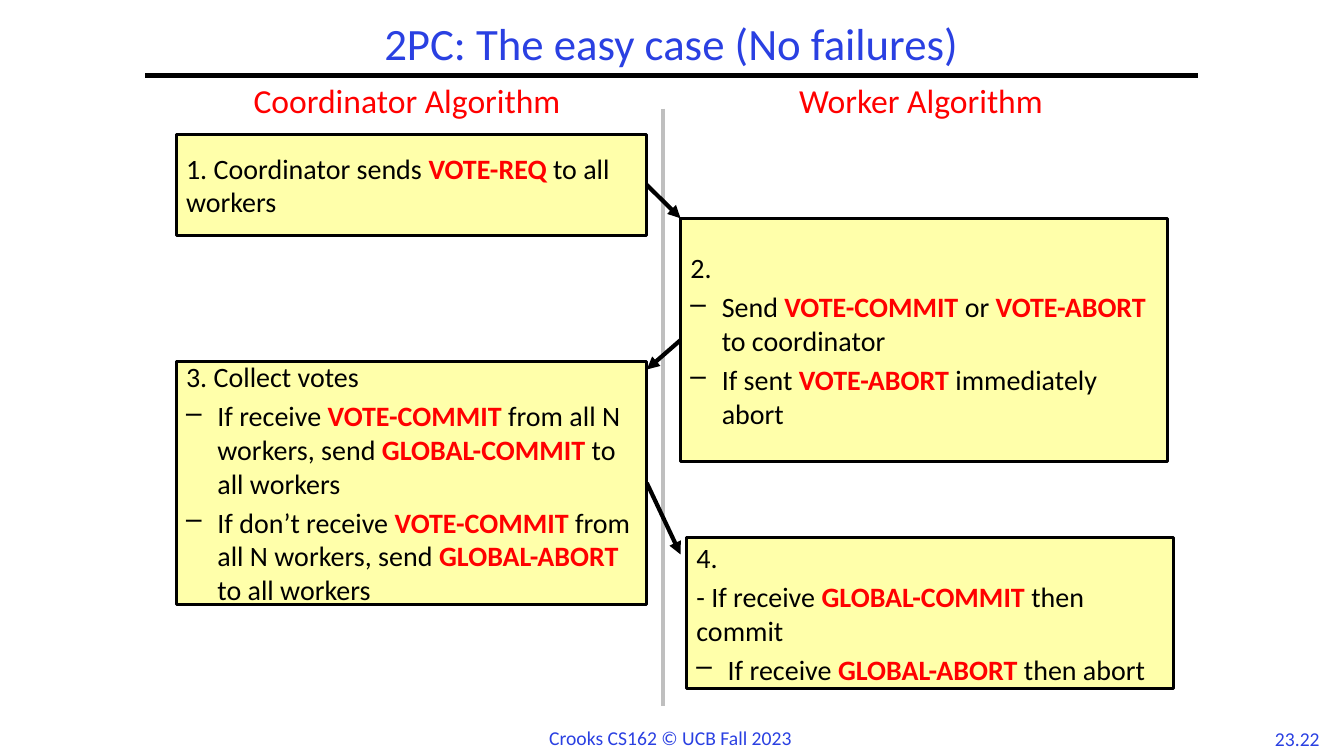
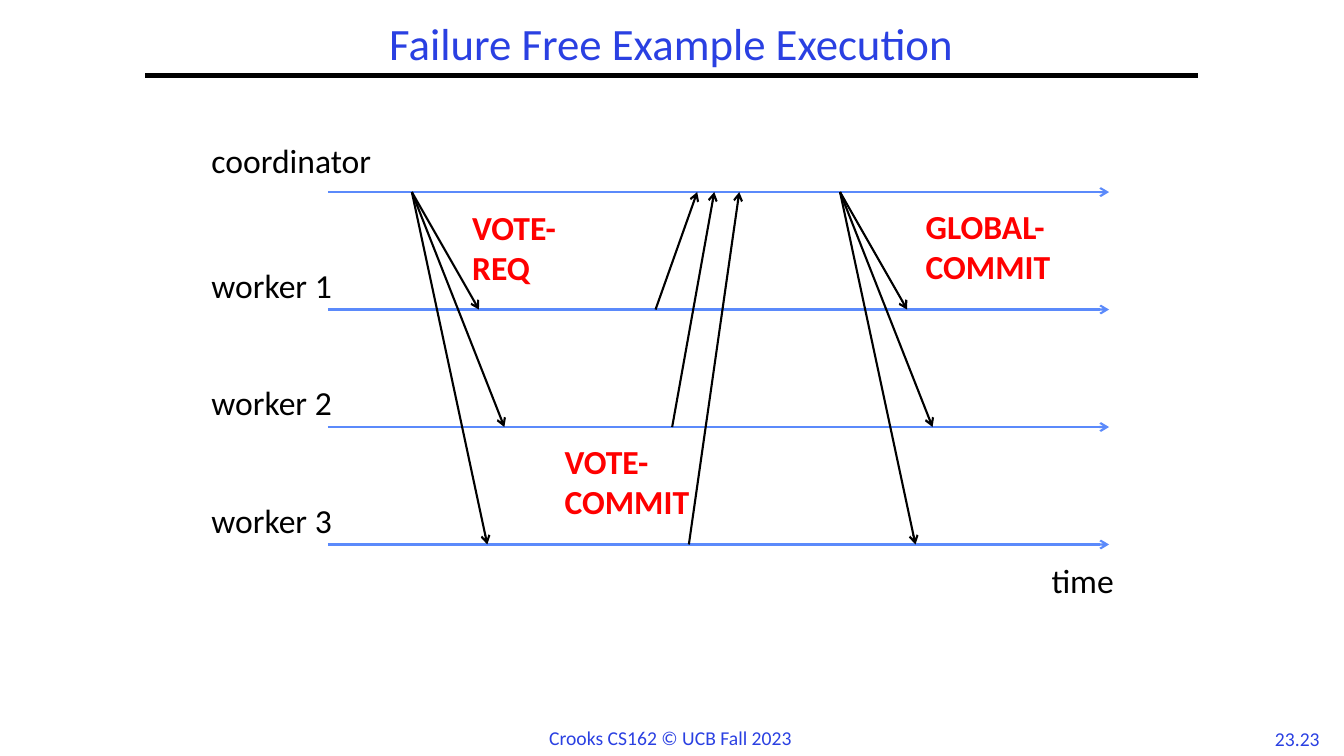
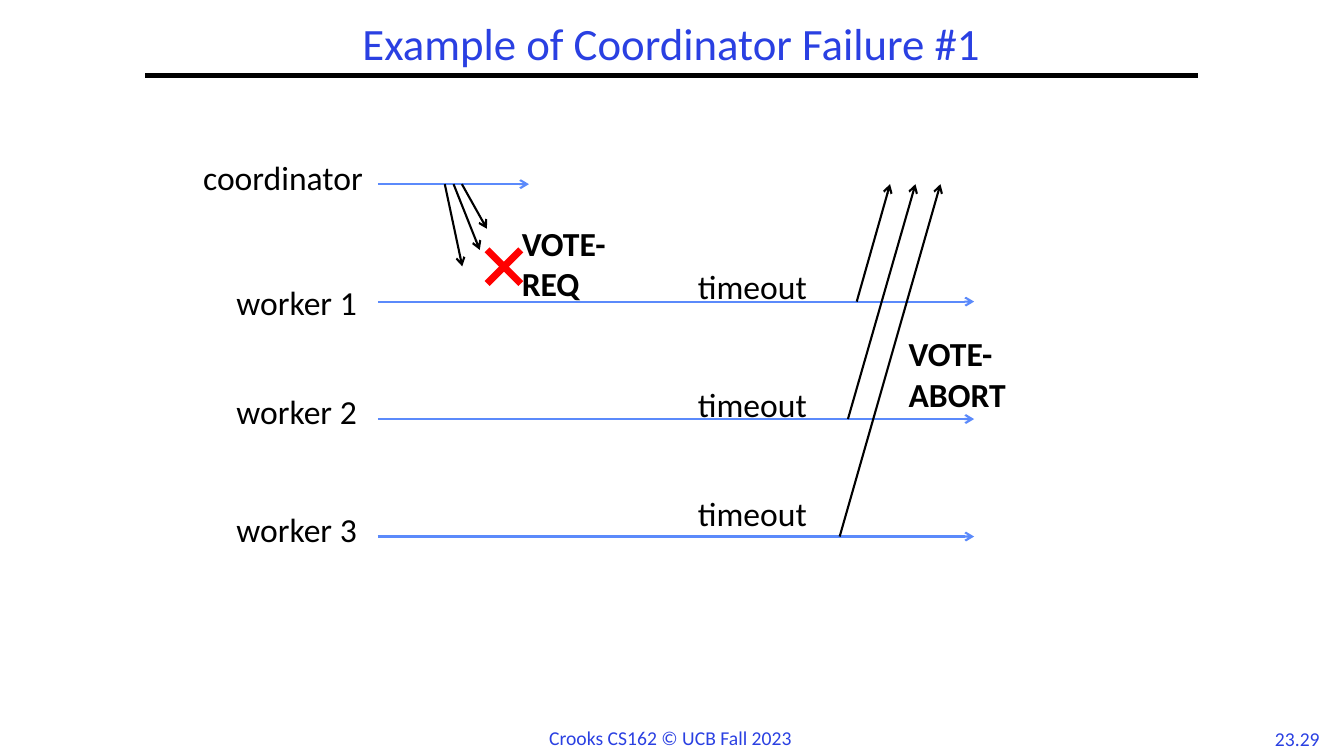
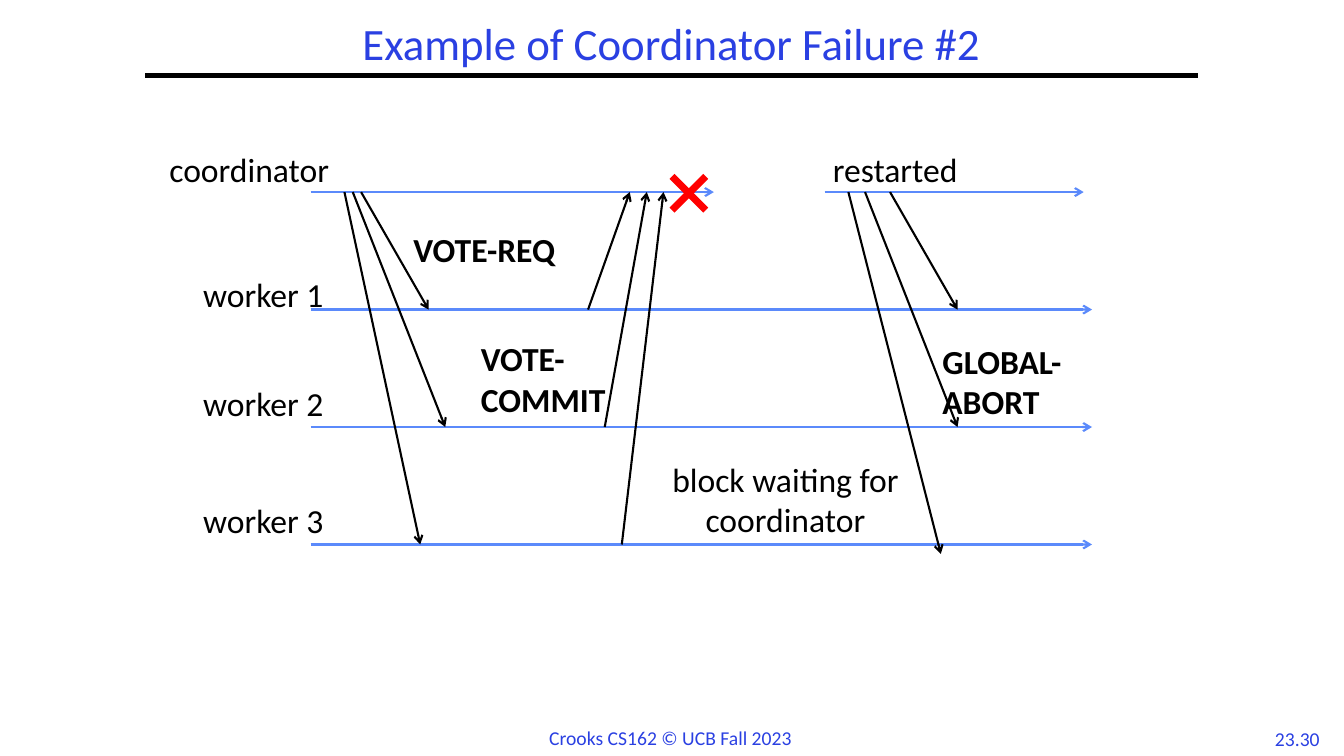
from dataclasses import dataclass

from lxml import etree
from pptx import Presentation
from pptx.dml.color import RGBColor
from pptx.enum.shapes import MSO_CONNECTOR, MSO_SHAPE
from pptx.enum.text import MSO_ANCHOR, MSO_AUTO_SIZE, PP_ALIGN
from pptx.oxml.ns import qn
from pptx.util import Cm, Pt

STRAIGHT = MSO_CONNECTOR.STRAIGHT
RECTANGLE = MSO_SHAPE.RECTANGLE
TOP, MIDDLE = MSO_ANCHOR.TOP, MSO_ANCHOR.MIDDLE
NO_AUTOFIT = MSO_AUTO_SIZE.NONE
LEFT, CENTER = PP_ALIGN.LEFT, PP_ALIGN.CENTER
TITLE_ONLY = 5
LEFT_SIDE, RIGHT_SIDE = 1, 3
BULLET = "– "


@dataclass(frozen=True)
class Theme:
    font: str = "Calibri"
    blue: RGBColor = RGBColor(0x2A, 0x40, 0xE2)
    lane: RGBColor = RGBColor(0x5B, 0x8A, 0xFB)
    red: RGBColor = RGBColor(0xFF, 0x00, 0x00)
    black: RGBColor = RGBColor(0x00, 0x00, 0x00)
    gray: RGBColor = RGBColor(0xBF, 0xBF, 0xBF)
    yellow: RGBColor = RGBColor(0xFF, 0xFF, 0xAA)
    title_size: int = 32
    label_size: int = 24
    step_size: int = 20
    footer_size: int = 14
    thin: float = 1.5
    outline: float = 2
    thick: float = 3
    cross: float = 5


THEME = Theme()


@dataclass(frozen=True)
class Box:
    """A rectangle in centimetres."""
    left: float
    top: float
    width: float
    height: float

    def inner(self, left, top, width, height):
        return Box(self.left + left, self.top + top, width, height)

    def lengths(self):
        return Cm(self.left), Cm(self.top), Cm(self.width), Cm(self.height)


TITLE_BOX = Box(3.66, 0.43, 26.52, 1.47)
FOOTER_BOX = Box(13.59, 18.16, 6.68, 0.86)
NUMBER_BOX = Box(31.83, 18.19, 1.73, 0.84)
ALGORITHM_BOX = Box(4.44, 1.9, 25.12, 15.88)
LANE_GAP = 2.96
LINE_HEIGHT = 1.3
TWO_LINES = 2.31


def add_bullet(paragraph):
    properties = paragraph._p.get_or_add_pPr()
    properties.set("marL", str(Cm(0.79)))
    properties.set("indent", str(-Cm(0.79)))
    etree.SubElement(properties, qn("a:buChar")).set("char", BULLET.strip())


def write(frame, text, size=THEME.label_size, color=THEME.black, bold=False,
          align=LEFT, anchor=TOP, space_before=0, line_spacing=None):
    """Write one paragraph per line; words between asterisks are bold red."""
    frame.word_wrap = True
    frame.auto_size = NO_AUTOFIT
    frame.vertical_anchor = anchor
    for index, line in enumerate(text.split("\n")):
        paragraph = frame.add_paragraph() if index else frame.paragraphs[0]
        paragraph.alignment = align
        if index:
            paragraph.space_before = Pt(space_before)
        if line_spacing:
            paragraph.line_spacing = line_spacing
        if line.startswith(BULLET):
            add_bullet(paragraph)
            line = line.removeprefix(BULLET)
        for part, words in enumerate(line.split("*")):
            if words:
                strong = part % 2 == 1
                run = paragraph.add_run()
                run.text = words
                run.font.name = THEME.font
                run.font.size = Pt(size)
                run.font.bold = bold or strong
                run.font.color.rgb = THEME.red if strong else color


def add_text(slide, box, text, **text_format):
    write(slide.shapes.add_textbox(*box.lengths()).text_frame, text, **text_format)


def add_line(slide, start, end, color=THEME.black, width=THEME.thin, arrow=None):
    ends = [Cm(value) for value in (*start, *end)]
    connector = slide.shapes.add_connector(STRAIGHT, *ends)
    connector.line.color.rgb = color
    connector.line.width = Pt(width)
    properties = connector.element.spPr
    if arrow:
        line = properties.find(qn("a:ln"))
        etree.SubElement(line, qn("a:tailEnd")).set("type", arrow)
    etree.SubElement(properties, qn("a:effectLst"))
    return connector


def add_base_slide(presentation, title, number):
    slide = presentation.slides.add_slide(presentation.slide_layouts[TITLE_ONLY])
    shape = slide.shapes.title
    shape.left, shape.top, shape.width, shape.height = TITLE_BOX.lengths()
    write(shape.text_frame, title, size=THEME.title_size, color=THEME.blue,
          align=CENTER, anchor=MIDDLE, line_spacing=0.9)
    rule_y = TITLE_BOX.top + TITLE_BOX.height
    add_line(slide, (TITLE_BOX.left, rule_y),
             (TITLE_BOX.left + TITLE_BOX.width, rule_y), width=THEME.thick)
    add_text(slide, FOOTER_BOX, "Crooks CS162 © UCB Fall 2023",
             size=THEME.footer_size, color=THEME.blue)
    add_text(slide, NUMBER_BOX, number, size=THEME.footer_size,
             color=THEME.blue, align=CENTER)
    return slide


def add_step(slide, box, text):
    shape = slide.shapes.add_shape(RECTANGLE, *box.lengths())
    shape.shadow.inherit = False
    shape.fill.solid()
    shape.fill.fore_color.rgb = THEME.yellow
    shape.line.color.rgb = THEME.black
    shape.line.width = Pt(THEME.outline)
    write(shape.text_frame, text, size=THEME.step_size, anchor=MIDDLE, space_before=4)
    return shape


def add_algorithms(slide, box):
    """Place the coordinator's and the worker's steps on each side of a divider."""
    left_width, right_width, right_column = 11.86, 12.28, 12.71
    divider_x = box.left + 12.27
    add_line(slide, (divider_x, box.top + 0.84), (divider_x, box.top + box.height),
             color=THEME.gray, width=THEME.thick)
    for text, left, width in (("Coordinator Algorithm", 1.7, 8.79),
                              ("Worker Algorithm", 15.45, 7.06)):
        add_text(slide, box.inner(left, 0, width, 1.27), text, color=THEME.red)

    request = add_step(
        slide, box.inner(0, 1.49, left_width, 2.54),
        "1. Coordinator sends *VOTE-REQ* to all workers")
    vote = add_step(
        slide, box.inner(right_column, 3.6, right_width, 6.14),
        "2.\n– Send *VOTE-COMMIT* or *VOTE-ABORT* to coordinator\n"
        "– If sent *VOTE-ABORT* immediately abort")
    collect = add_step(
        slide, box.inner(0, 7.2, left_width, 6.14),
        "3. Collect votes\n"
        "– If receive *VOTE-COMMIT* from all N workers, send "
        "*GLOBAL-COMMIT* to all workers\n"
        "– If don’t receive *VOTE-COMMIT* from all N workers, send "
        "*GLOBAL-ABORT* to all workers")
    add_step(
        slide, box.inner(right_column + 0.15, 11.65, right_width, 3.81),
        "4.\n- If receive *GLOBAL-COMMIT* then commit\n"
        "– If receive *GLOBAL-ABORT* then abort")

    for step, side, end_x, end_y in ((request, RIGHT_SIDE, right_column, 3.6),
                                     (vote, LEFT_SIDE, left_width, 7.41),
                                     (collect, RIGHT_SIDE, right_column, 12.07)):
        end = (box.left + end_x, box.top + end_y)
        arrow = add_line(slide, end, end, width=THEME.thick, arrow="triangle")
        arrow.begin_connect(step, side)


def add_cross(slide, box):
    right, bottom = box.left + box.width, box.top + box.height
    for start_y, end_y in ((box.top, bottom), (bottom, box.top)):
        add_line(slide, (box.left, start_y), (right, end_y),
                 color=THEME.red, width=THEME.cross)


def add_timeline(slide, box, labels, lanes, messages, notes,
                 note_color=THEME.black, cross=None):
    """Draw lanes and the messages between them, all relative to the box.

    labels: (left, top above or below its lane), one per lane.
    lanes: (lane, start, end). messages: (start, lane, end, lane).
    notes: (text, left, top, width, height, format).
    cross: its centre.
    """
    def point(x, lane):
        return box.left + x, box.top + lane * LANE_GAP

    for lane, start, end in lanes:
        add_line(slide, point(start, lane), point(end, lane),
                 color=THEME.lane, arrow="arrow")
    for lane, (left, top) in enumerate(labels):
        add_text(slide, box.inner(left, lane * LANE_GAP + top, 5.08, LINE_HEIGHT),
                 f"worker {lane}" if lane else "coordinator")
    for start, start_lane, end, end_lane in messages:
        add_line(slide, point(start, start_lane), point(end, end_lane), arrow="arrow")
    for text, left, top, width, height, text_format in notes:
        if text_format.get("bold"):
            text_format = {"color": note_color, **text_format}
        add_text(slide, box.inner(left, top, width, height), text, **text_format)
    if cross:
        size = 0.85
        add_cross(slide, box.inner(cross[0] - size / 2, cross[1] - size / 2, size, size))


def broadcast(starts, ends):
    """Messages from the coordinator to each worker."""
    return [(start, 0, end, lane)
            for lane, (start, end) in enumerate(zip(starts, ends), 1)]


def replies(starts, ends):
    """Messages from each worker to the coordinator."""
    return [(start, lane, end, 0)
            for lane, (start, end) in enumerate(zip(starts, ends), 1)]


def full_lanes(first, width):
    return [(lane, 0, width) for lane in range(first, 4)]


def add_failure_free(slide, box):
    strong = {"bold": True}
    messages = replies((8.26, 8.68, 9.1), (9.31, 9.74, 10.37))
    for start in (2.12, 12.91):
        messages += broadcast([start] * 3, [start + run for run in (1.69, 2.33, 1.9)])
    add_timeline(
        slide, box,
        labels=[(-3.18, -1.45)] + [(-3.18, -1.25)] * 3,
        lanes=full_lanes(0, box.width),
        messages=messages,
        notes=[("VOTE-REQ", 3.39, 0.25, 3.39, TWO_LINES, strong),
               ("VOTE-COMMIT", 5.72, 6.14, 4.02, TWO_LINES, strong),
               ("GLOBAL-COMMIT", 14.82, 0.22, 4.23, TWO_LINES, strong),
               ("time", 17.99, 9.14, 2.33, LINE_HEIGHT, {})],
        note_color=THEME.red)


def add_lost_request(slide, box):
    strong = {"bold": True}
    lost = [(2.12, 0, 2.75, 0.38), (1.91, 0, 2.57, 0.56), (1.69, 0, 2.13, 0.7)]
    timeouts = [("timeout", 7.82, top, 5.08, LINE_HEIGHT, {})
                for top in (1.93, 4.9, 7.65)]
    add_timeline(
        slide, box,
        labels=[(-4.65, -0.81), (-3.81, -0.61), (-3.81, -0.83), (-3.81, -0.83)],
        lanes=[(0, 0, 3.81)] + full_lanes(1, box.width),
        messages=lost + replies((12.07, 11.85, 11.64), (12.91, 13.55, 14.18)),
        notes=[("VOTE-REQ", 3.38, 0.84, 3.39, TWO_LINES, strong),
               ("VOTE-ABORT", 13.13, 3.63, 3.39, TWO_LINES, strong)] + timeouts,
        cross=(3.18, 2.08))


def add_restart(slide, box):
    strong, centered = {"bold": True}, {"align": CENTER}
    add_timeline(
        slide, box,
        labels=[(-3.81, -1.22), (-2.96, -1.02), (-2.96, -1.24), (-2.96, -1.24)],
        lanes=[(0, 0, 10.16), (0, 12.95, 19.48)] + full_lanes(1, box.width),
        messages=broadcast((1.27, 1.06, 0.85), (2.97, 3.39, 2.76))
        + replies((6.99, 7.41, 7.84), (8.04, 8.47, 8.89))
        + [(14.6, 0, 16.3, 1), (13.97, 0, 16.3, 2), (13.55, 0, 15.88, 3.08)],
        notes=[("VOTE-REQ", 2.34, 0.81, 4.24, LINE_HEIGHT, strong),
               ("VOTE-COMMIT", 4.04, 3.56, 4.45, TWO_LINES, strong),
               ("GLOBAL-ABORT", 15.67, 3.63, 5.08, TWO_LINES, strong),
               ("block waiting for coordinator", 7.42, 6.6, 9.09, TWO_LINES, centered),
               ("restarted", 11.02, -1.22, 7.42, LINE_HEIGHT, centered)],
        cross=(9.53, 0.03))


def main():
    presentation = Presentation()
    presentation.slide_width, presentation.slide_height = Cm(33.87), Cm(19.05)
    lanes_height = 3 * LANE_GAP
    for title, number, add_content, box in (
        ("2PC: The easy case (No failures)", "23.22", add_algorithms, ALGORITHM_BOX),
        ("Failure Free Example Execution", "23.23", add_failure_free,
         Box(8.26, 4.84, 19.69, lanes_height)),
        ("Example of Coordinator Failure #1", "23.29", add_lost_request,
         Box(9.52, 4.64, 15.03, lanes_height)),
        ("Example of Coordinator Failure #2", "23.30", add_restart,
         Box(7.83, 4.84, 19.69, lanes_height)),
    ):
        add_content(add_base_slide(presentation, title, number), box)
    presentation.save("out.pptx")


if __name__ == "__main__":
    main()
